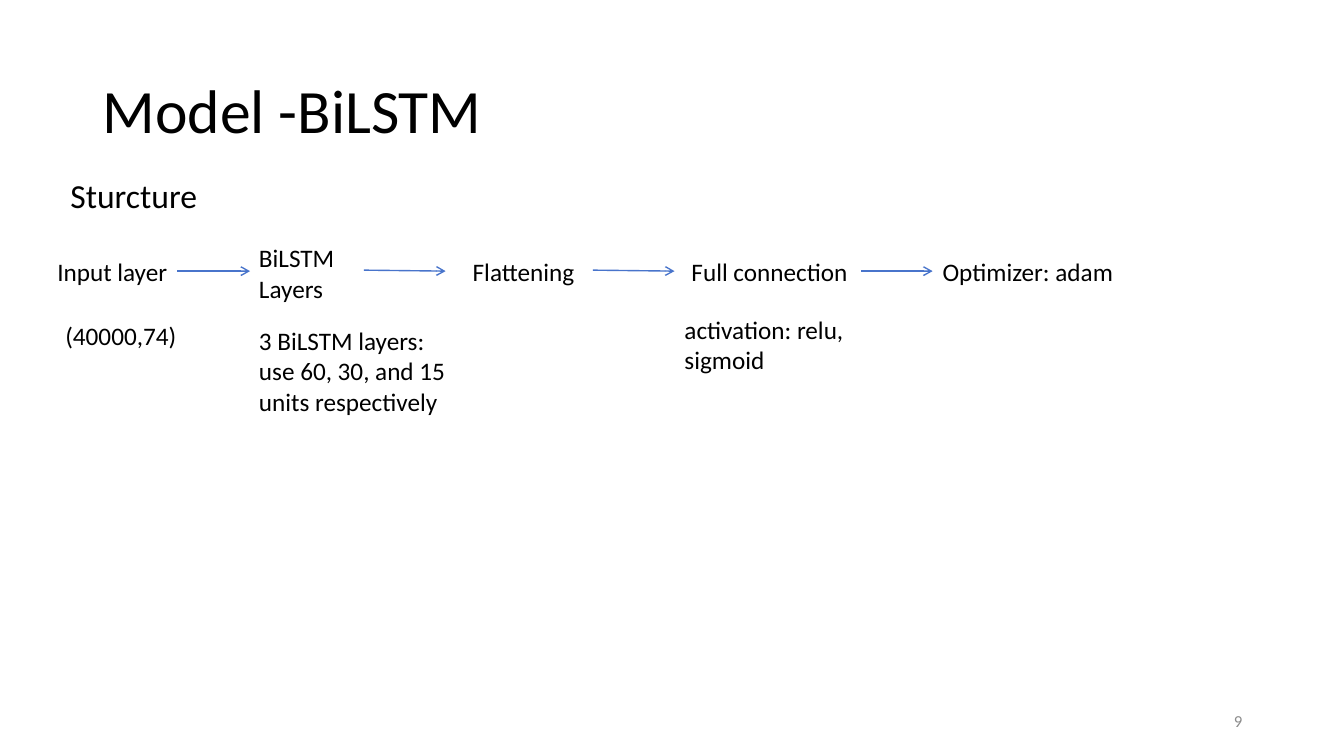
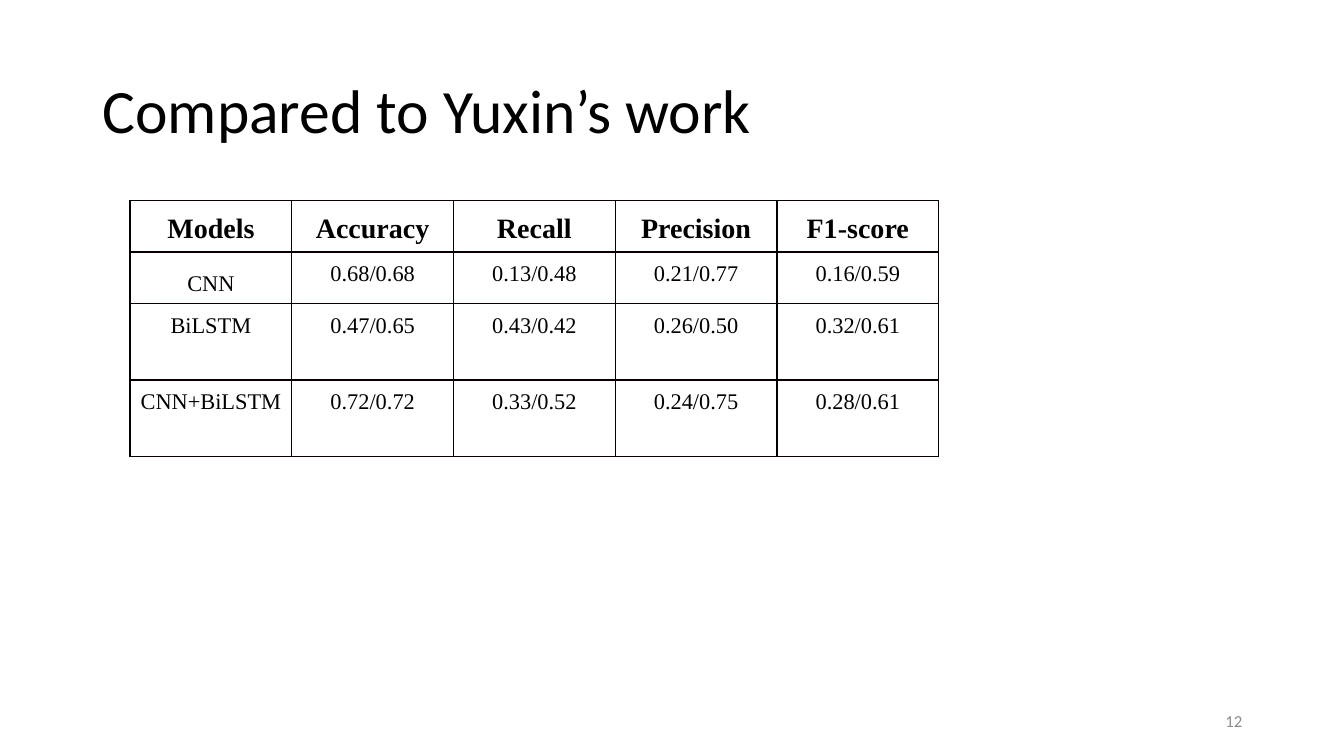
from lxml.etree import SubElement
from pptx import Presentation
from pptx.dml.color import RGBColor
from pptx.enum.shapes import MSO_CONNECTOR
from pptx.enum.text import MSO_ANCHOR, PP_ALIGN
from pptx.oxml import parse_xml
from pptx.oxml.ns import nsdecls, qn
from pptx.util import Inches, Pt

STEPS = [
    ("Input layer", 0.47, 2.49, 1.4),
    ("BiLSTM Layers", 2.47, 2.36, 1.28),
    ("Flattening", 4.59, 2.49, 1.4),
    ("Full connection", 6.76, 2.49, 3.11),
    ("Optimizer: adam", 9.25, 2.49, 3.11),
]
DETAILS = [
    ("(40000,74)", 0.55, 3.13, 1.92),
    ("3 BiLSTM layers:\nuse 60, 30, and 15 units respectively", 2.47, 3.18, 2.58),
    ("activation: relu, sigmoid", 6.69, 3.07, 2.08),
]
ARROWS = [
    (1.76, 2.69, 2.48, 2.69),
    (3.61, 2.68, 4.42, 2.69),
    (5.88, 2.68, 6.69, 2.69),
    (8.54, 2.69, 9.25, 2.69),
]
SCORES = [
    ["Models", "Accuracy", "Recall", "Precision", "F1-score"],
    ["CNN", "0.68/0.68", "0.13/0.48", "0.21/0.77", "0.16/0.59"],
    ["BiLSTM", "0.47/0.65", "0.43/0.42", "0.26/0.50", "0.32/0.61"],
    ["CNN+BiLSTM", "0.72/0.72", "0.33/0.52", "0.24/0.75", "0.28/0.61"],
]


def color(value):
    return RGBColor.from_string(value)


class Deck:
    """Holds the shared style and the slide being built."""

    INK = "000000"
    MUTED = "8C8C8C"
    ARROW = "4874CB"
    BORDER = "080000"
    FONT = "Calibri"
    TABLE_FONT = "Times New Roman"

    def __init__(self):
        self.prs = Presentation()
        self.prs.slide_width = Inches(13.33)
        self.prs.slide_height = Inches(7.5)
        self.slide = None

    def add_slide(self, title, number):
        self.slide = self.prs.slides.add_slide(self.prs.slide_layouts[6])
        self.text(title, 0.92, 0.4, 11.5, 1.45, size=44,
                  anchor=MSO_ANCHOR.MIDDLE, spacing=0.9)
        self.text(number, 9.42, 6.95, 3, 0.4, size=12, ink=self.MUTED,
                  anchor=MSO_ANCHOR.MIDDLE, align=PP_ALIGN.RIGHT)

    def style(self, frame, font, size, ink, align, spacing, bold=False):
        for paragraph in frame.paragraphs:
            paragraph.alignment = align
            paragraph.line_spacing = spacing
            for run in paragraph.runs:
                run.font.name = font
                run.font.size = Pt(size)
                run.font.bold = bold
                run.font.color.rgb = color(ink)

    def text(self, wording, left, top, width, height=0.4, size=18, ink=INK,
             anchor=MSO_ANCHOR.TOP, align=PP_ALIGN.LEFT, spacing=1.0):
        box = self.slide.shapes.add_textbox(
            Inches(left), Inches(top), Inches(width), Inches(height))
        frame = box.text_frame
        frame.word_wrap = True
        frame.vertical_anchor = anchor
        frame.text = wording
        self.style(frame, self.FONT, size, ink, align, spacing)

    def arrow(self, *ends):
        line = self.slide.shapes.add_connector(
            MSO_CONNECTOR.STRAIGHT, *(Inches(end) for end in ends))
        line.line.color.rgb = color(self.ARROW)
        line.line.width = Pt(1)
        SubElement(line.line._get_or_add_ln(), qn("a:tailEnd"), type="arrow")
        SubElement(line._element.spPr, qn("a:effectLst"))

    def border(self, cell):
        properties = cell._tc.get_or_add_tcPr()
        for index, side in enumerate("LRTB"):
            properties.insert(index, parse_xml(
                f'<a:ln{side} {nsdecls("a")} w="12700"><a:solidFill>'
                f'<a:srgbClr val="{self.BORDER}"/></a:solidFill></a:ln{side}>'))

    def table(self, rows, left, top, width, heights):
        table = self.slide.shapes.add_table(
            len(rows), len(rows[0]), Inches(left), Inches(top),
            Inches(width), Inches(sum(heights))).table
        table.first_row = table.horz_banding = False
        for r, (row, height) in enumerate(zip(rows, heights)):
            table.rows[r].height = Inches(height)
            for c, wording in enumerate(row):
                cell = table.cell(r, c)
                cell.text = wording
                cell.margin_left = cell.margin_right = Inches(0.07)
                cell.margin_top = cell.margin_bottom = 0
                cell.fill.background()
                self.border(cell)
                self.style(cell.text_frame, self.TABLE_FONT,
                           20 if r == 0 else 16, self.INK, PP_ALIGN.CENTER,
                           1.8 if wording == "CNN" else 1.4, bold=r == 0)


def main():
    deck = Deck()

    deck.add_slide("Model -BiLSTM", "9")
    deck.text("Sturcture", 0.6, 1.69, 9.79, 0.5, size=24)
    for label in STEPS + DETAILS:
        deck.text(*label)
    for ends in ARROWS:
        deck.arrow(*ends)

    deck.add_slide("Compared to Yuxin’s work", "12")
    deck.table(SCORES, 1.29, 1.99, 8.02, [0.51, 0.51, 0.76, 0.76])

    deck.prs.save("out.pptx")


if __name__ == "__main__":
    main()
